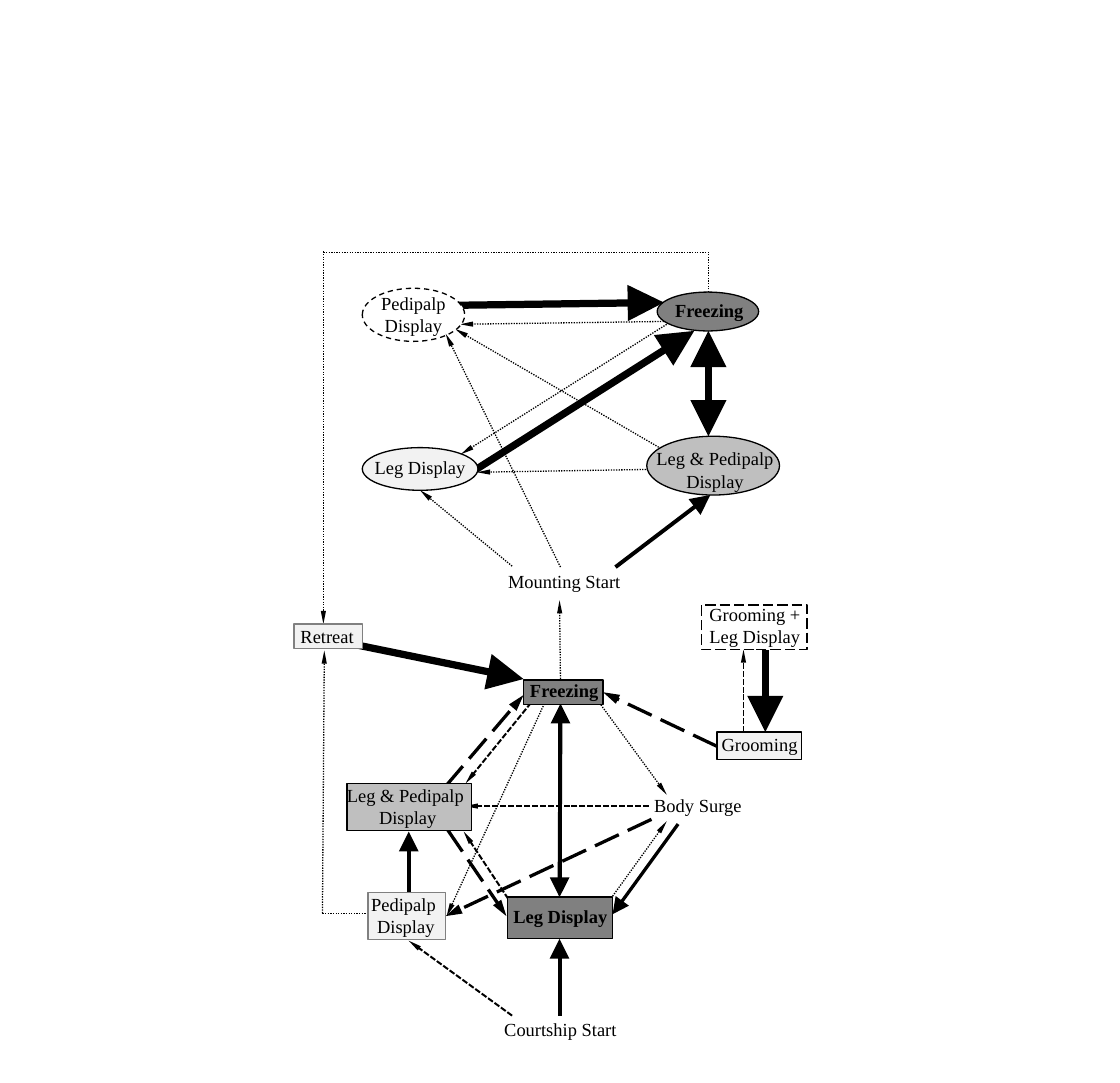
from lxml.etree import SubElement
from pptx import Presentation
from pptx.dml.color import RGBColor
from pptx.enum.dml import MSO_LINE
from pptx.enum.shapes import MSO_CONNECTOR, MSO_SHAPE
from pptx.enum.text import MSO_ANCHOR, PP_ALIGN
from pptx.oxml.ns import qn
from pptx.util import Inches, Pt

SIZE = (11.81, 11.42)
BLACK, GREY, SILVER, PALE, WHITE = "000000", "808080", "BFBFBF", "F2F2F2", "FFFFFF"

# Line styles: format values, then arrowhead width (None for no head)
DOT = {"width": Pt(1), "dash_style": MSO_LINE.ROUND_DOT}
STYLES = {
    "edge": (DOT, None),
    "dot": (DOT, "sm"),
    "dash": ({"width": Pt(1.5), "dash_style": MSO_LINE.SQUARE_DOT}, "sm"),
    "long": ({"width": Pt(2.5), "dash_style": MSO_LINE.LONG_DASH}, "med"),
    "firm": ({"width": Pt(2.5)}, "lg"),
    "bold": ({"width": Pt(3)}, "lg"),
    "heavy": ({"width": Pt(5.5)}, "lg"),
}

# Layers from back to front: links (style, x1, y1, x2, y2),
# then nodes (form, left, top, width, height, fill, line, dash)
OVAL, RECT = MSO_SHAPE.OVAL, MSO_SHAPE.RECTANGLE
LAYERS = [
    ([
        ("dot", 6.84, 4.95, 5.03, 4.98),
        ("dot", 6.97, 4.73, 4.8, 3.47),
        ("heavy", 5.02, 4.95, 7.32, 3.49),
        ("dot", 7, 3.39, 4.85, 3.42),
    ], [
        (OVAL, 6.82, 4.6, 1.4, 0.62, SILVER, BLACK, None),
        (OVAL, 3.82, 4.72, 1.22, 0.45, PALE, BLACK, None),
        (OVAL, 6.93, 3.08, 1.07, 0.41, GREY, BLACK, None),
    ]),
    ([
        ("heavy", 4.78, 3.22, 7, 3.19),
    ], [
        (OVAL, 3.82, 3.04, 1.08, 0.56, WHITE, BLACK, MSO_LINE.DASH),
    ]),
    ([
        # Mounting
        ("dot", 7.03, 3.42, 4.86, 4.79),
        ("heavy", 7.47, 4.11, 7.47, 3.49),
        ("heavy", 7.47, 3.89, 7.47, 4.6),
        ("bold", 6.49, 5.98, 7.49, 5.22),
        ("dot", 5.4, 5.97, 4.43, 5.17),
        ("dot", 5.91, 5.98, 4.7, 3.52),
        ("dot", 5.91, 7.16, 5.9, 6.33),
        # Courtship
        ("dash", 5.36, 9.48, 4.89, 8.77),
        ("long", 4.72, 8.75, 5.34, 9.66),
        ("long", 4.7, 8.29, 5.52, 7.33),
        ("bold", 5.91, 9.36, 5.91, 7.42),
        ("bold", 5.91, 7.54, 5.9, 9.46),
        ("dash", 6.84, 8.5, 4.9, 8.5),
        ("bold", 5.9, 10.71, 5.9, 9.9),
        ("bold", 4.31, 9.41, 4.31, 8.77),
        ("dash", 5.6, 7.41, 4.91, 8.26),
        ("dot", 6.32, 7.41, 7.03, 8.38),
        ("dot", 6.46, 9.45, 7.03, 8.66),
        ("firm", 7.15, 8.69, 6.46, 9.64),
        ("dot", 5.74, 7.42, 4.71, 9.66),
        ("dash", 5.4, 10.71, 4.31, 9.92),
        ("long", 6.87, 8.64, 4.7, 9.66),
        # Retreat
        ("heavy", 3.12, 6.67, 5.52, 7.16),
        ("edge", 3.4, 9.63, 3.91, 9.63),
        ("edge", 3.41, 2.66, 7.46, 2.66),
        ("edge", 7.47, 3.08, 7.47, 2.65),
        ("dot", 3.41, 2.65, 3.41, 6.58),
        ("dot", 3.4, 9.63, 3.42, 6.86),
        # Grooming
        ("long", 7.56, 7.87, 6.36, 7.3),
        ("heavy", 8.07, 6.85, 8.07, 7.72),
        ("dash", 7.84, 7.72, 7.84, 6.85),
    ], [
        (RECT, 3.1, 6.58, 0.72, 0.26, PALE, GREY, None),
        (RECT, 5.52, 7.17, 0.84, 0.26, GREY, BLACK, None),
        (RECT, 3.66, 8.26, 1.31, 0.5, SILVER, BLACK, None),
        (RECT, 3.88, 9.41, 0.82, 0.5, PALE, GREY, None),
        (RECT, 5.35, 9.46, 1.11, 0.44, GREY, BLACK, None),
        (RECT, 7.56, 7.72, 0.89, 0.29, PALE, BLACK, None),
        (RECT, 7.4, 6.38, 1.11, 0.47, WHITE, BLACK, MSO_LINE.LONG_DASH),
    ]),
]

# Labels: centre x, top, bold, lines
LABELS = [
    (5.95, 5.96, False, ["Mounting Start"]),
    (5.91, 10.69, False, ["Courtship Start"]),
    (7.36, 8.32, False, ["Body Surge"]),
    (7.96, 6.31, False, ["Grooming +", "Leg Display"]),
    (7.48, 3.11, True, ["Freezing"]),
    (7.54, 4.67, False, ["Leg & Pedipalp", "Display"]),
    (3.45, 6.54, False, ["Retreat"]),
    (8.01, 7.68, False, ["Grooming"]),
    (5.95, 7.11, True, ["Freezing"]),
    (5.91, 9.5, True, ["Leg Display"]),
    (4.3, 8.22, False, ["Leg & Pedipalp ", "Display"]),
    (4.43, 4.76, False, ["Leg Display"]),
    (4.36, 3.03, False, ["Pedipalp", "Display"]),
    (4.28, 9.37, False, ["Pedipalp ", "Display"]),
]
LABEL_W, LABEL_H, LINE_H = 2.4, 0.34, 0.23


def put(item, values):
    for name, value in values.items():
        setattr(item, name, value)


def paint(part, tone):
    part.solid()
    part.fore_color.rgb = RGBColor.from_string(tone)


def add_link(slide, style, *ends):
    values, head = STYLES[style]
    link = slide.shapes.add_connector(MSO_CONNECTOR.STRAIGHT, *map(Inches, ends))
    paint(link.line.fill, BLACK)
    put(link.line, values)
    props = link._element.spPr
    if head:
        SubElement(props.find(qn("a:ln")), qn("a:tailEnd"),
                   type="triangle", w=head, len="lg")
    SubElement(props, qn("a:effectLst"))


def add_node(slide, form, left, top, width, height, fill, line, dash):
    node = slide.shapes.add_shape(form, *map(Inches, (left, top, width, height)))
    node.shadow.inherit = False
    paint(node.fill, fill)
    paint(node.line.fill, line)
    put(node.line, {"width": Pt(1), "dash_style": dash})


def add_label(slide, mid, top, bold, lines):
    height = LABEL_H + LINE_H * (len(lines) - 1)
    place = (mid - LABEL_W / 2, top, LABEL_W, height)
    frame = slide.shapes.add_textbox(*map(Inches, place)).text_frame
    put(frame, {"word_wrap": True, "vertical_anchor": MSO_ANCHOR.TOP,
                "text": "\n".join(lines)})
    for para in frame.paragraphs:
        para.alignment = PP_ALIGN.CENTER
        font = para.runs[0].font
        put(font, {"name": "Times New Roman", "size": Pt(14), "bold": bold})
        paint(font.fill, BLACK)


def main():
    deck = Presentation()
    deck.slide_width, deck.slide_height = map(Inches, SIZE)
    slide = deck.slides.add_slide(deck.slide_layouts[6])
    for links, nodes in LAYERS:
        for link in links:
            add_link(slide, *link)
        for node in nodes:
            add_node(slide, *node)
    for label in LABELS:
        add_label(slide, *label)
    deck.save("out.pptx")


if __name__ == "__main__":
    main()
